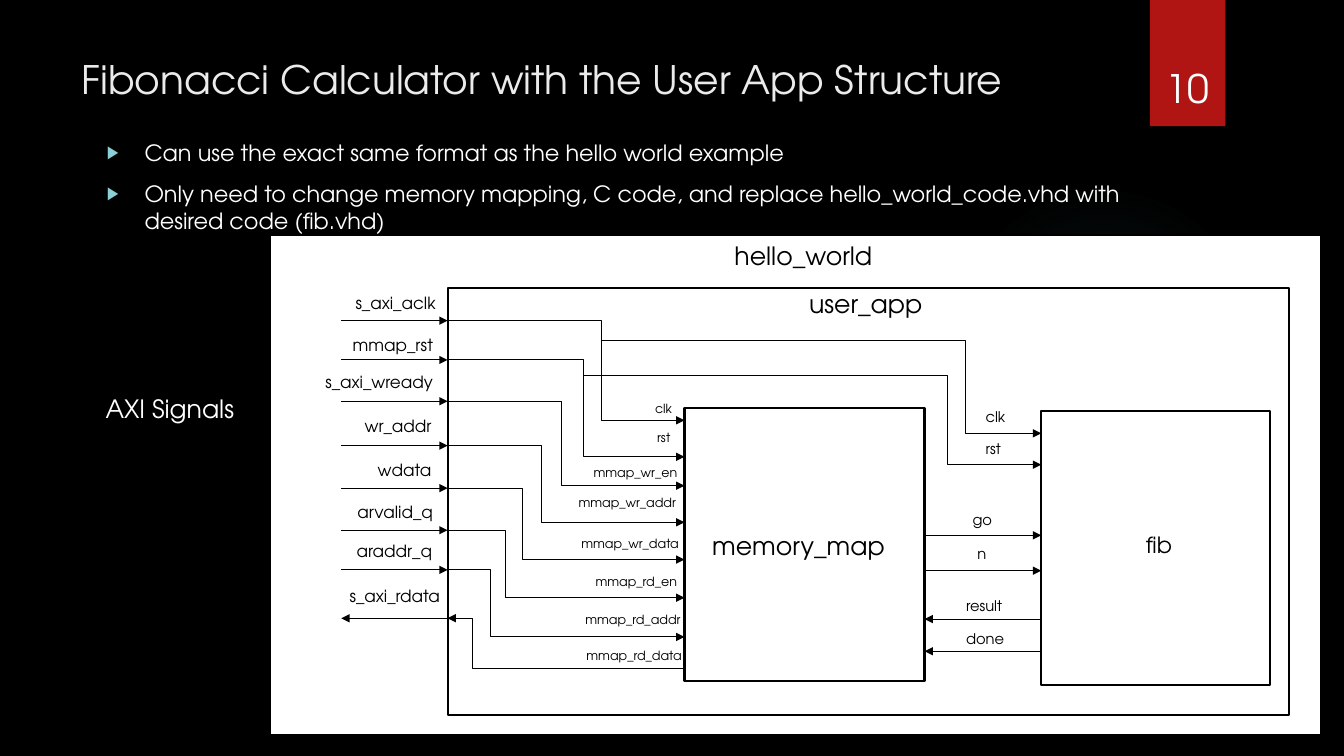
from dataclasses import dataclass

import pptx
import pptx.dml.color
import pptx.enum.shapes
import pptx.enum.text
import pptx.oxml
import pptx.oxml.ns
import pptx.util
from pptx.util import Cm

RGB = pptx.dml.color.RGBColor
BLACK = RGB(0x00, 0x00, 0x00)
WHITE = RGB(0xFF, 0xFF, 0xFF)
TITLE_GREY = RGB(0xEB, 0xEB, 0xEB)
BADGE_RED = RGB(0xB0, 0x15, 0x13)
BULLET_TEAL = RGB(0x8A, 0xD0, 0xD6)
GLOW_TEAL = RGB(0x50, 0xB9, 0xC1)
FONT = "TeX Gyre Adventor"
NAMESPACE = pptx.oxml.ns.nsdecls("a")
SHAPES = pptx.enum.shapes.MSO_SHAPE
CONNECTORS = pptx.enum.shapes.MSO_CONNECTOR
ALIGN = pptx.enum.text.PP_ALIGN
ANCHOR = pptx.enum.text.MSO_ANCHOR
AUTO_SIZE = pptx.enum.text.MSO_AUTO_SIZE


@dataclass
class Label:
    text: str
    left: float
    top: float
    width: float
    height: float = 1.02
    size: float = 18
    color: RGB = BLACK
    align: ALIGN = ALIGN.LEFT


@dataclass
class Block:
    left: float
    top: float
    width: float
    height: float
    label: Label

    @property
    def right(self) -> float:
        return self.left + self.width


@dataclass
class AxiSignal:
    """A signal outside user_app, and the memory_map port it is wired to."""
    outside: Label
    outside_y: float
    bend_x: float
    port_y: float
    port: Label
    is_output: bool = False


@dataclass
class FibSignal:
    label: Label
    y: float
    is_output: bool = False


@dataclass
class Branch:
    """A tap from an AXI wire to a fib input."""
    start_x: float
    start_y: float
    bend_x: float
    label: Label
    y: float


def outside_label(text: str, left: float, top: float, width: float) -> Label:
    return Label(text, left, top, width, 0.76, 12)


def port_label(text: str, left: float, top: float, width: float = 3.1) -> Label:
    return Label(text, left, top, width, 0.64, 9)


def fib_label(text: str, left: float, top: float) -> Label:
    return Label(text, left, top, 1.75, 0.71, 10.5)


HELLO_WORLD = Block(6.81, 5.92, 26.49, 12.6, Label("hello_world", 18.26, 5.92, 4.04))
USER_APP = Block(11.28, 7.26, 21.21, 10.77, Label("user_app", 20.14, 7.14, 3.4))
MEMORY_MAP = Block(17.25, 10.29, 6.05, 6.88, Label("memory_map", 17.7, 13.23, 4.88))
FIB = Block(26.24, 10.36, 5.77, 6.91,
            Label("fib", 26.49, 13.26, 5.44, 0.94, 16, align=ALIGN.CENTER))

SIGNAL_START_X = 8.6
PORT_STUB_X = 15.48
FIB_STUB_X = 24.38

AXI_SIGNALS = [
    AxiSignal(outside_label("s_axi_aclk", 8.71, 7.26, 2.57), 8.08, 15.16, 10.59,
              port_label("clk", 16.26, 9.98, 1.37)),
    AxiSignal(outside_label("mmap_rst", 8.64, 8.31, 2.54), 9.07, 14.71, 11.51,
              port_label("rst", 16.31, 10.72, 1.37)),
    AxiSignal(outside_label("s_axi_wready", 7.95, 9.25, 3.28), 10.11, 14.15, 12.24,
              port_label("mmap_wr_en", 14.71, 11.58, 2.87)),
    AxiSignal(outside_label("wr_addr", 8.94, 10.36, 2.24), 11.23, 13.64, 13.16,
              port_label("mmap_wr_addr", 14.33, 12.34, 3.25)),
    AxiSignal(outside_label("wdata", 9.27, 11.46, 1.9), 12.3, 13.16, 14.1,
              port_label("mmap_wr_data", 14.4, 13.39)),
    AxiSignal(outside_label("arvalid_q", 8.76, 12.52, 2.44), 13.36, 12.75, 15.06,
              port_label("mmap_rd_en", 14.76, 14.33)),
    AxiSignal(outside_label("araddr_q", 8.74, 13.49, 2.44), 14.36, 12.37, 16.05,
              port_label("mmap_rd_addr", 14.5, 15.29)),
    AxiSignal(outside_label("s_axi_rdata", 8.56, 14.63, 2.84), 15.58, 11.91, 16.84,
              port_label("mmap_rd_data", 14.53, 16.21), is_output=True),
]
BRANCHES = [
    Branch(15.14, 8.59, 24.33, fib_label("clk", 24.59, 10.16), 10.92),
    Branch(14.71, 9.47, 23.88, fib_label("rst", 24.59, 10.95), 11.71),
]
FIB_SIGNALS = [
    FibSignal(fib_label("go", 24.26, 12.75), 13.49),
    FibSignal(fib_label("n", 24.38, 13.61), 14.38),
    FibSignal(fib_label("result", 24.1, 14.91), 15.6, is_output=True),
    FibSignal(fib_label("done", 24.1, 15.75), 16.41, is_output=True),
]
BULLETS = [
    "Can use the exact same format as the hello world example",
    "Only need to change memory mapping, C code, and replace "
    "hello_world_code.vhd with desired code (fib.vhd)",
]


def write(para, text: str, *, size: float, color: RGB, align: ALIGN = ALIGN.LEFT) -> None:
    para.alignment = align
    span = para.add_run()
    span.text = text
    span.font.name = FONT
    span.font.size = pptx.util.Pt(size)
    span.font.color.rgb = color


def place(shape, left: float, top: float, width: float, height: float) -> None:
    shape.left, shape.top = Cm(left), Cm(top)
    shape.width, shape.height = Cm(width), Cm(height)


def add_label(page, label: Label):
    box = page.shapes.add_textbox(Cm(label.left), Cm(label.top), Cm(label.width), Cm(label.height))
    frame = box.text_frame
    frame.word_wrap = True
    if label.align == ALIGN.LEFT:
        frame.margin_right = 0
    write(frame.paragraphs[0], label.text, size=label.size, color=label.color, align=label.align)
    return box


def add_shape(page, kind: SHAPES, left: float, top: float, width: float, height: float,
              fill: RGB, outlined: bool = False):
    shape = page.shapes.add_shape(kind, Cm(left), Cm(top), Cm(width), Cm(height))
    shape.shadow.inherit = False
    shape.fill.solid()
    shape.fill.fore_color.rgb = fill
    if outlined:
        shape.line.color.rgb = BLACK
        shape.line.width = pptx.util.Pt(1.5)
    else:
        shape.line.fill.background()
    return shape


def add_glow(page) -> None:
    glow = add_shape(page, SHAPES.OVAL, 23.9, 4.65, 7.82, 7.82, GLOW_TEAL)
    stops = "".join(
        f'<a:gs pos="{position}000"><a:srgbClr val="{GLOW_TEAL}">'
        f'<a:alpha val="{opacity}000"/></a:srgbClr></a:gs>'
        for position, opacity in [(0, 7), (36, 6), (69, 0)])
    gradient = pptx.oxml.parse_xml(
        f'<a:gradFill {NAMESPACE}><a:gsLst>{stops}</a:gsLst><a:path path="circle">'
        '<a:fillToRect l="50000" t="50000" r="50000" b="50000"/></a:path></a:gradFill>')
    properties = glow.element.spPr
    properties.replace(properties.find(pptx.oxml.ns.qn("a:solidFill")), gradient)


def add_wire(page, x1: float, y1: float, x2: float, y2: float, *,
             bend_x: float | None = None, arrow: bool = True) -> None:
    kind = CONNECTORS.STRAIGHT if bend_x is None else CONNECTORS.ELBOW
    wire = page.shapes.add_connector(kind, Cm(x1), Cm(y1), Cm(x2), Cm(y2))
    wire.line.color.rgb = BLACK
    wire.line.width = pptx.util.Pt(0.75)
    properties = wire.element.spPr
    if arrow:
        properties.find(pptx.oxml.ns.qn("a:ln")).append(
            pptx.oxml.parse_xml(f'<a:tailEnd {NAMESPACE} type="triangle"/>'))
    properties.append(pptx.oxml.parse_xml(f"<a:effectLst {NAMESPACE}/>"))
    if bend_x is not None:
        share = round((bend_x - x1) / (x2 - x1) * 100000)
        properties.find(".//" + pptx.oxml.ns.qn("a:avLst")).append(
            pptx.oxml.parse_xml(f'<a:gd {NAMESPACE} name="adj1" fmla="val {share}"/>'))


def add_axi_signal(page, signal: AxiSignal) -> None:
    edge, port, y = USER_APP.left, MEMORY_MAP.left, signal.outside_y
    if signal.is_output:
        add_wire(page, port, signal.port_y, edge, y, bend_x=signal.bend_x)
        add_wire(page, edge, y, SIGNAL_START_X, y)
    else:
        add_wire(page, SIGNAL_START_X, y, edge, y)
        add_wire(page, edge, y, PORT_STUB_X, signal.port_y, bend_x=signal.bend_x, arrow=False)
        add_wire(page, PORT_STUB_X, signal.port_y, port, signal.port_y)
    add_label(page, signal.outside)
    add_label(page, signal.port)


def fill_placeholders(page) -> None:
    title, body = page.shapes.title, page.placeholders[1]
    place(title, 1.8, 1.27, 26.14, 1.73)
    place(body, 2.44, 3.38, 26.75, 11.66)
    for frame in (title.text_frame, body.text_frame):
        frame.auto_size = AUTO_SIZE.NONE
        frame.vertical_anchor = ANCHOR.TOP
    write(title.text_frame.paragraphs[0], "Fibonacci Calculator with the User App Structure",
          size=28, color=TITLE_GREY)
    for index, text in enumerate(BULLETS):
        frame = body.text_frame
        para = frame.add_paragraph() if index else frame.paragraphs[0]
        write(para, text, size=16, color=WHITE)
        para.space_before = pptx.util.Pt(10)
        properties = para._p.get_or_add_pPr()
        properties.set("marL", str(Cm(0.95)))
        properties.set("indent", str(-Cm(0.95)))
        for bullet in (f'<a:buClr {NAMESPACE}><a:srgbClr val="{BULLET_TEAL}"/></a:buClr>',
                       f'<a:buSzPct {NAMESPACE} val="80000"/>',
                       f'<a:buChar {NAMESPACE} char="▶"/>'):
            properties.append(pptx.oxml.parse_xml(bullet))


def main() -> None:
    deck = pptx.Presentation()
    deck.slide_width, deck.slide_height = Cm(33.87), Cm(19.05)
    page = deck.slides.add_slide(deck.slide_layouts[1])
    page.background.fill.solid()
    page.background.fill.fore_color.rgb = BLACK
    add_glow(page)
    add_shape(page, SHAPES.RECTANGLE, 28.98, 0, 1.9, 3.18, BADGE_RED)
    fill_placeholders(page)
    number = add_label(page, Label("10", 28.75, 0.81, 2.34, 2.13, 28, WHITE, ALIGN.CENTER))
    number.text_frame.vertical_anchor = ANCHOR.BOTTOM
    add_label(page, Label("AXI Signals", 2.41, 9.78, 3.81, color=WHITE))
    for block in (HELLO_WORLD, USER_APP, MEMORY_MAP, FIB):
        add_shape(page, SHAPES.RECTANGLE, block.left, block.top, block.width, block.height,
                  WHITE, outlined=True)
        add_label(page, block.label)
    for signal in AXI_SIGNALS:
        add_axi_signal(page, signal)
    for branch in BRANCHES:
        add_wire(page, branch.start_x, branch.start_y, FIB_STUB_X, branch.y,
                 bend_x=branch.bend_x, arrow=False)
        add_wire(page, FIB_STUB_X, branch.y, FIB.left, branch.y)
        add_label(page, branch.label)
    for signal in FIB_SIGNALS:
        ends = (FIB.left, MEMORY_MAP.right) if signal.is_output else (MEMORY_MAP.right, FIB.left)
        add_wire(page, ends[0], signal.y, ends[1], signal.y)
        add_label(page, signal.label)
    deck.save("out.pptx")


if __name__ == "__main__":
    main()
